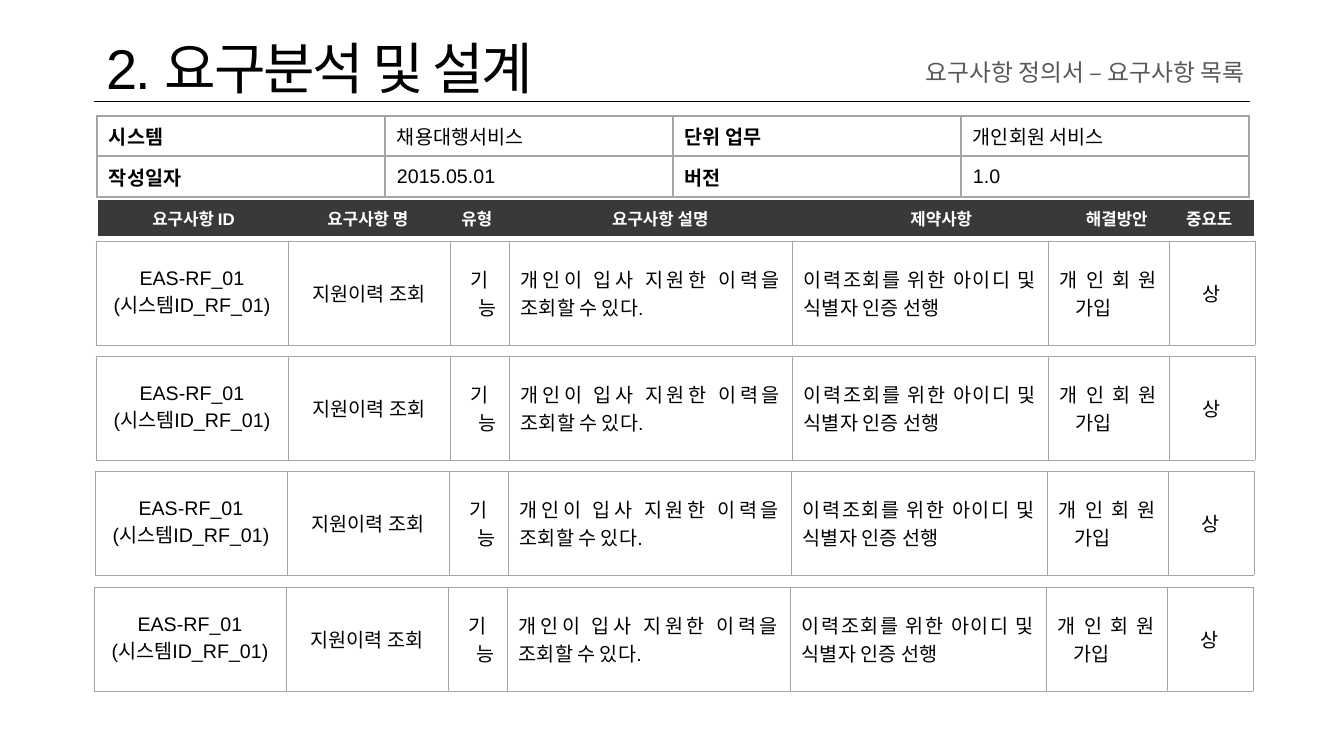
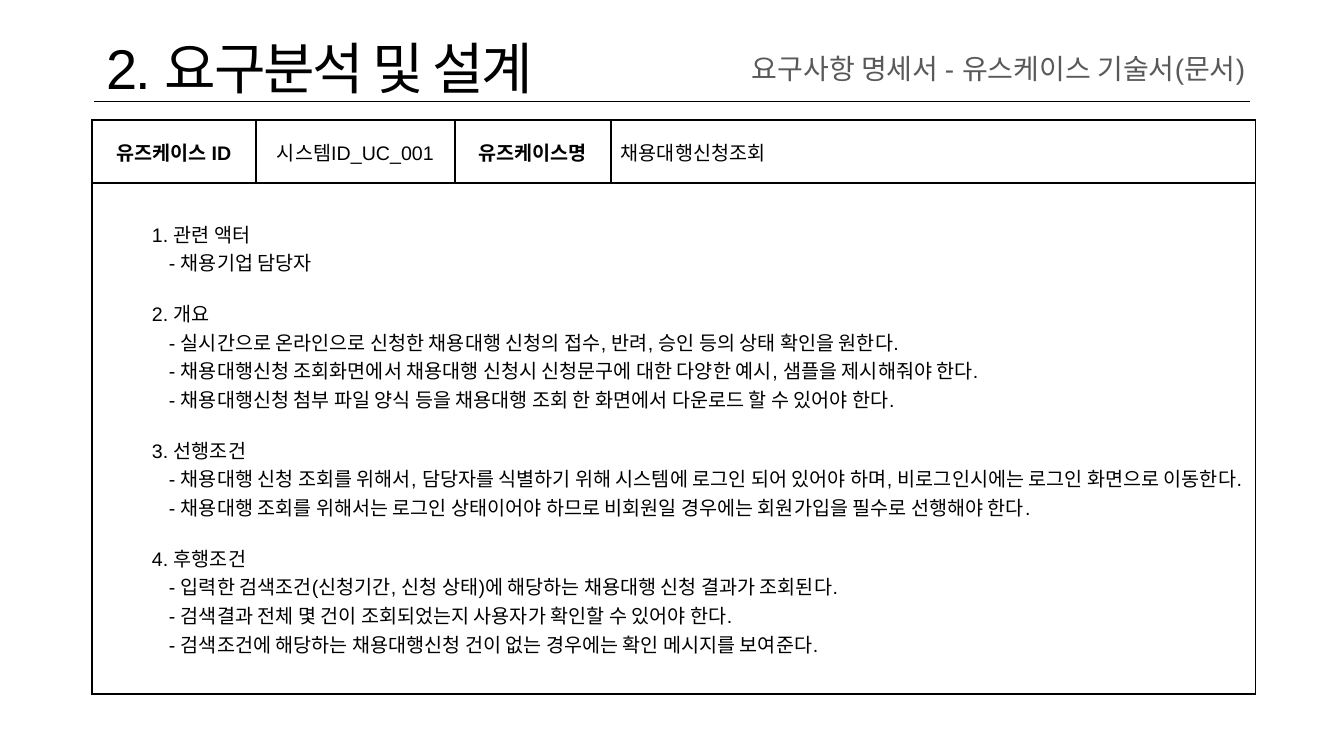
from lxml import etree
from pptx import Presentation
from pptx.dml.color import RGBColor
from pptx.enum.shapes import MSO_CONNECTOR
from pptx.enum.text import MSO_ANCHOR, PP_ALIGN
from pptx.oxml.ns import qn
from pptx.util import Emu, Pt

STRAIGHT = MSO_CONNECTOR.STRAIGHT
MIDDLE, TOP = MSO_ANCHOR.MIDDLE, MSO_ANCHOR.TOP
LEFT, CENTER = PP_ALIGN.LEFT, PP_ALIGN.CENTER
RIGHT, JUSTIFY = PP_ALIGN.RIGHT, PP_ALIGN.JUSTIFY

BLACK, WHITE = "000000", "FFFFFF"
GRAY, DARK, BORDER = "595959", "3B3838", "A5A5A5"
FONT = "Arial"
EMU_PER_PIXEL = 914400 / 100.8


def px(pixels):
    return Emu(round(pixels * EMU_PER_PIXEL))


def rgb(value):
    return RGBColor.from_string(value)


def apply_format(target, values):
    for name, value in values.items():
        setattr(target, name, value)


def make_style(size=14, bold=False, color=BLACK, indent=None, spacing=0, **paragraph):
    return {
        "font": {"name": FONT, "size": Pt(size), "bold": bold},
        "color": color,
        "indent": indent,
        "spacing": spacing,
        "paragraph": paragraph,
    }


TITLE = make_style(40, spacing=-150, line_spacing=0.9)
HEADER = make_style(12, True, WHITE, alignment=CENTER)
LABEL = make_style(bold=True, alignment=LEFT)
VALUE = make_style(alignment=LEFT)
CENTERED_LABEL = make_style(bold=True, alignment=CENTER)
CENTERED = make_style(alignment=CENTER)
JUSTIFIED = make_style(alignment=JUSTIFY)
HANGING_CENTERED = make_style(indent=(16, -16), alignment=CENTER)
HANGING_JUSTIFIED = make_style(indent=(16, -16), alignment=JUSTIFY)
FIRST_HEADING = make_style(indent=(50, 0), alignment=JUSTIFY)
NEXT_HEADING = make_style(indent=(50, 0), alignment=JUSTIFY, space_before=Pt(16))
ITEM = make_style(indent=(85, -18), alignment=JUSTIFY)

HEADER_TEXTS = ["요구사항 ID", "요구사항 명", "유형", "요구사항 설명", "제약사항", "해결방안", "중요도"]
HEADER_WIDTHS = [191, 158, 60, 307, 255, 96, 89]
INFO_ROWS = [
    ["시스템", "채용대행서비스", "단위 업무", "개인회원 서비스"],
    ["작성일자", "2015.05.01", "버전", "1.0"],
]
REQUIREMENT_WIDTHS = [192, 162, 59, 283, 256, 121, 86]
REQUIREMENT_POSITIONS = [(96, 241), (96, 356), (95, 471), (94, 587)]
REQUIREMENT = [
    [("EAS-RF_01", CENTERED), ("(시스템ID_RF_01)", CENTERED)],
    [("지원이력 조회", CENTERED)],
    [("기능", HANGING_CENTERED)],
    [("개인이 입사 지원한 이력을 조회할 수 있다.", JUSTIFIED)],
    [("이력조회를 위한 아이디 및 식별자 인증 선행", JUSTIFIED)],
    [("개인회원 가입", HANGING_JUSTIFIED)],
    [("상", CENTERED)],
]
USE_CASE_HEADER = [
    [("유즈케이스 ID", CENTERED_LABEL)],
    [("시스템ID_UC_001", CENTERED)],
    [("유즈케이스명", CENTERED_LABEL)],
    [("채용대행신청조회", VALUE)],
]
USE_CASE_SECTIONS = [
    ("1. 관련 액터", ["채용기업 담당자"]),
    ("2. 개요", [
        "실시간으로 온라인으로 신청한 채용대행 신청의 접수, 반려, 승인 등의 상태 확인을 원한다.",
        "채용대행신청 조회화면에서 채용대행 신청시 신청문구에 대한 다양한 예시, 샘플을 제시해줘야 한다.",
        "채용대행신청 첨부 파일 양식 등을 채용대행 조회 한 화면에서 다운로드 할 수 있어야 한다.",
    ]),
    ("3. 선행조건", [
        "채용대행 신청 조회를 위해서, 담당자를 식별하기 위해 시스템에 로그인 되어 있어야 하며, "
        "비로그인시에는 로그인 화면으로 이동한다.",
        "채용대행 조회를 위해서는 로그인 상태이어야 하므로 비회원일 경우에는 회원가입을 필수로 선행해야 한다.",
    ]),
    ("4. 후행조건", [
        "입력한 검색조건(신청기간, 신청 상태)에 해당하는 채용대행 신청 결과가 조회된다.",
        "검색결과 전체 몇 건이 조회되었는지 사용자가 확인할 수 있어야 한다.",
        "검색조건에 해당하는 채용대행신청 건이 없는 경우에는 확인 메시지를 보여준다.",
    ]),
]


def write_paragraph(paragraph, text, style):
    apply_format(paragraph, style["paragraph"])
    if style["indent"]:
        properties = paragraph._p.get_or_add_pPr()
        for name, pixels in zip(("marL", "indent"), style["indent"]):
            properties.set(name, str(px(pixels)))
    run = paragraph.add_run()
    run.text = text
    apply_format(run.font, style["font"])
    run.font.color.rgb = rgb(style["color"])
    if style["spacing"]:
        run._r.get_or_add_rPr().set("spc", str(style["spacing"]))


def write_text(frame, content):
    for index, (text, style) in enumerate(content):
        paragraph = frame.add_paragraph() if index else frame.paragraphs[0]
        write_paragraph(paragraph, text, style)


def add_text(slide, box, content, anchor=TOP):
    frame = slide.shapes.add_textbox(*map(px, box)).text_frame
    apply_format(frame, {"word_wrap": True, "vertical_anchor": anchor})
    write_text(frame, content)


def add_rule(slide, start, end):
    line = slide.shapes.add_connector(STRAIGHT, *map(px, start + end))
    line.line.width = Pt(0.5)
    line.line.color.rgb = rgb(BLACK)
    etree.SubElement(line._element.spPr, qn("a:effectLst"))


def set_borders(cell, color, width):
    properties = cell._tc.get_or_add_tcPr()
    for side in ("a:lnL", "a:lnR", "a:lnT", "a:lnB"):
        border = etree.SubElement(properties, qn(side), w=str(Pt(width)))
        if color:
            fill = etree.SubElement(border, qn("a:solidFill"))
            etree.SubElement(fill, qn("a:srgbClr"), val=color)
        else:
            etree.SubElement(border, qn("a:noFill"))


def format_cell(cell, fill, border, margins):
    horizontal, vertical = map(px, margins)
    apply_format(cell, {
        "margin_left": horizontal,
        "margin_right": horizontal,
        "margin_top": vertical,
        "margin_bottom": vertical,
        "vertical_anchor": MIDDLE,
    })
    set_borders(cell, *border)
    if fill:
        cell.fill.solid()
        cell.fill.fore_color.rgb = rgb(fill)
    else:
        cell.fill.background()


def add_table(slide, position, widths, heights, rows, border, fill=None, margins=(12, 6)):
    size = (sum(widths), sum(heights))
    table = slide.shapes.add_table(
        len(heights), len(widths), *map(px, position + size)
    ).table
    apply_format(table, {"first_row": False, "horz_banding": False})
    for column, width in zip(table.columns, widths):
        column.width = px(width)
    for row, height in zip(table.rows, heights):
        row.height = px(height)
    for cell in table.iter_cells():
        format_cell(cell, fill, border, margins)
    for row, contents in zip(table.rows, rows):
        for cell, content in zip(row.cells, contents):
            write_text(cell.text_frame, content)
    return table


def add_base_slide(presentation, subtitle, box, size, line_spacing):
    slide = presentation.slides.add_slide(presentation.slide_layouts[6])
    add_rule(slide, (94, 101), (1250, 101))
    add_text(slide, (97, 29, 1159, 85), [("2. 요구분석 및 설계", TITLE)], MIDDLE)
    style = make_style(size, color=GRAY, alignment=RIGHT, line_spacing=line_spacing)
    add_text(slide, box, [(subtitle, style)])
    return slide


def build_requirement_list(presentation):
    slide = add_base_slide(
        presentation, "요구사항 정의서 – 요구사항 목록", (792, 61, 463, 32), 17, 0.7
    )
    header = [[(text, HEADER)] for text in HEADER_TEXTS]
    add_table(slide, (98, 200), HEADER_WIDTHS, [36], [header], (None, 1), DARK)
    info = [
        [[(text, VALUE if index % 2 else LABEL)] for index, text in enumerate(row)]
        for row in INFO_ROWS
    ]
    add_table(slide, (97, 116), [288] * 4, [40, 41], info, (BORDER, 1))
    for position in REQUIREMENT_POSITIONS:
        add_table(
            slide, position, REQUIREMENT_WIDTHS, [104], [REQUIREMENT], (BORDER, 0.5)
        )


def build_use_case(presentation):
    slide = add_base_slide(
        presentation, "요구사항 명세서 - 유스케이스 기술서(문서)", (660, 50, 595, 43), 20, 0.9
    )
    description = []
    for heading, items in USE_CASE_SECTIONS:
        description.append((heading, NEXT_HEADING if description else FIRST_HEADING))
        description += [(f"- {item}", ITEM) for item in items]
    table = add_table(
        slide, (92, 120), [164, 199, 156, 645], [63, 511],
        [USE_CASE_HEADER, [description]], (BLACK, 1), margins=(10, 5),
    )
    table.cell(1, 0).merge(table.cell(1, 3))


def main():
    presentation = Presentation()
    apply_format(presentation, {"slide_width": px(1344), "slide_height": px(756)})
    build_requirement_list(presentation)
    build_use_case(presentation)
    presentation.save("out.pptx")


main()
